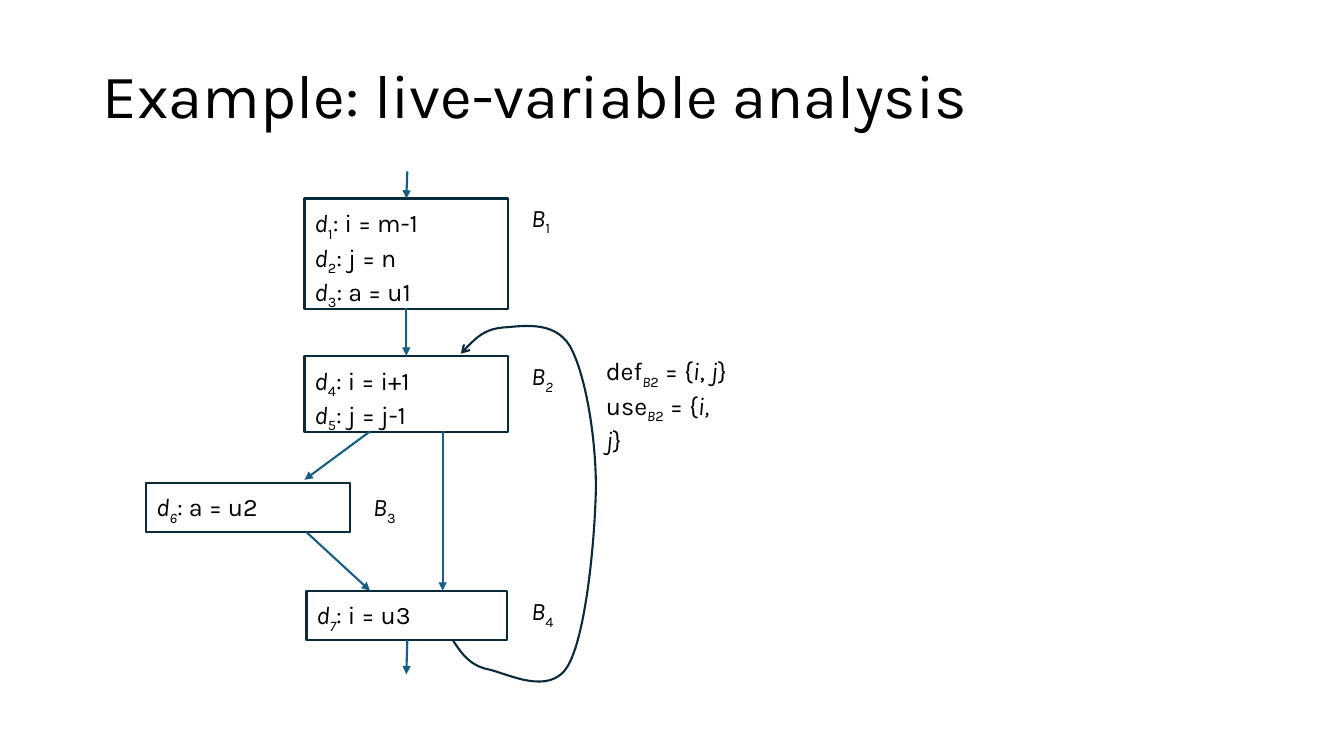
from lxml import etree
from pptx import Presentation
from pptx import util as u
from pptx.dml.color import RGBColor
from pptx.enum import shapes, text
from pptx.oxml import ns

Inches = u.Inches
COLORS = {"text": "000000", "outline": "092A39", "arrow": "156082"}
FONT = "Karla"


def add_text(parent, left, top, width, height, paragraphs, wrap=True):
    """Add a text box; each run is (text, flags), i for italic and s for subscript."""
    box = parent.add_textbox(Inches(left), Inches(top), Inches(width), Inches(height))
    frame = box.text_frame
    frame.word_wrap = wrap
    frame.auto_size = text.MSO_AUTO_SIZE.SHAPE_TO_FIT_TEXT
    for index, runs in enumerate(paragraphs):
        paragraph = frame.add_paragraph() if index else frame.paragraphs[0]
        for content, flags in runs:
            run = paragraph.add_run()
            run.text = content
            run.font.name = FONT
            run.font.size = u.Pt(18)
            run.font.italic = "i" in flags
            run.font.color.rgb = RGBColor.from_string(COLORS["text"])
            if "s" in flags:
                run.font._element.set("baseline", "-25000")


def style_line(shape, color, arrowhead=None):
    """Set the line colour and width, drop the shadow and add an end arrowhead."""
    shape.line.color.rgb = RGBColor.from_string(COLORS[color])
    shape.line.width = u.Pt(1.5)
    if arrowhead:
        line = shape.line._get_or_add_ln()
        etree.SubElement(line, ns.qn("a:tailEnd"), type=arrowhead)
    properties = shape._element.spPr
    if properties.find(ns.qn("a:effectLst")) is None:
        etree.SubElement(properties, ns.qn("a:effectLst"))


presentation = Presentation()
presentation.slide_width = Inches(13.33)
presentation.slide_height = Inches(7.5)
slide = presentation.slides.add_slide(presentation.slide_layouts[5])

title = slide.shapes.title
title.left, title.top = Inches(0.92), Inches(0.25)
title.width, title.height = Inches(11.5), Inches(1.45)
title.text_frame.text = "Example: live-variable analysis"
title.text_frame.vertical_anchor = text.MSO_ANCHOR.MIDDLE
title_paragraph = title.text_frame.paragraphs[0]
title_paragraph.alignment = text.PP_ALIGN.LEFT
title_paragraph.line_spacing = 0.9
title_font = title_paragraph.runs[0].font
title_font.name = FONT
title_font.size = u.Pt(44)
title_font.color.rgb = RGBColor.from_string(COLORS["text"])

# Basic blocks: left, top, width, height, text height, subscript flags, statements
blocks = [
    (3.02, 1.97, 2.02, 1.1, 1.0, "s", [("1", "i = m-1"), ("2", "j = n"), ("3", "a = u1")]),
    (3.02, 3.53, 2.02, 0.76, 0.71, "s", [("4", "i = i+1"), ("5", "j = j-1")]),
    (1.45, 4.79, 2.02, 0.49, 0.4, "is", [("6", "a = u2")]),
    (3.04, 5.86, 1.99, 0.49, 0.4, "is", [("7", "i = u3")]),
]
for left, top, width, height, text_height, flags, statements in blocks:
    group = slide.shapes.add_group_shape()
    add_text(group.shapes, left, top + 0.04, width - 0.24, text_height,
             [[("d", "i"), (number, flags), (f": {code}", "")] for number, code in statements])
    outline = group.shapes.add_shape(shapes.MSO_SHAPE.RECTANGLE, Inches(left), Inches(top),
                                     Inches(width), Inches(height))
    outline.shadow.inherit = False
    outline.fill.background()
    style_line(outline, "outline")

block_labels = [(5.17, 1.96, "1", "s"), (5.17, 3.53, "2", "is"),
                (3.6, 4.83, "3", "s"), (5.17, 5.86, "4", "s")]
for left, top, number, flags in block_labels:
    add_text(slide.shapes, left, top, 0.45, 0.4, [[("B", "i"), (number, flags)]], wrap=False)

flow_arrows = [
    (4.03, 3.06, 4.03, 3.53),
    (4.04, 1.7, 4.03, 1.97),
    (3.67, 4.28, 3.02, 4.76),
    (4.39, 4.28, 4.39, 5.86),
    (3.04, 5.28, 3.67, 5.86),
    (4.04, 6.35, 4.03, 6.69),
]
for points in flow_arrows:
    arrow = slide.shapes.add_connector(shapes.MSO_CONNECTOR.STRAIGHT, *map(Inches, points))
    style_line(arrow, "arrow", "triangle")

set_start = [("B", "is"), ("2", "s"), (" = {", "")]
add_text(slide.shapes, 5.91, 3.48, 1.41, 0.71, [
    [("def", ""), *set_start, ("i", "i"), (", ", ""), ("j", "i"), ("}", "")],
    [("use", ""), *set_start, ("i, j", "i"), ("}", "")],
])

# Back edge from B4 to B2: a start point, then three points per Bézier segment
back_edge_points = [
    (4.49, 6.35),
    (4.57, 6.47), (4.65, 6.6), (4.84, 6.64),
    (5.03, 6.68), (5.45, 6.91), (5.63, 6.61),
    (5.81, 6.31), (5.9, 5.37), (5.91, 4.84),
    (5.91, 4.31), (5.8, 3.69), (5.65, 3.43),
    (5.49, 3.17), (5.16, 3.24), (4.98, 3.25),
    (4.8, 3.27), (4.68, 3.39), (4.57, 3.51),
]
start, *curve_points = [(Inches(x), Inches(y)) for x, y in back_edge_points]
builder = slide.shapes.build_freeform(*start)
builder.add_line_segments(curve_points, close=False)
back_edge = builder.convert_to_shape()
line_steps = list(back_edge._element.iter(ns.qn("a:lnTo")))
outline_path = line_steps[0].getparent()
for first in range(0, len(line_steps), 3):
    curve = etree.SubElement(outline_path, ns.qn("a:cubicBezTo"))
    for step in line_steps[first:first + 3]:
        curve.append(step[0])
        outline_path.remove(step)
back_edge.shadow.inherit = False
back_edge.fill.background()
style_line(back_edge, "outline", "arrow")

presentation.save("out.pptx")
